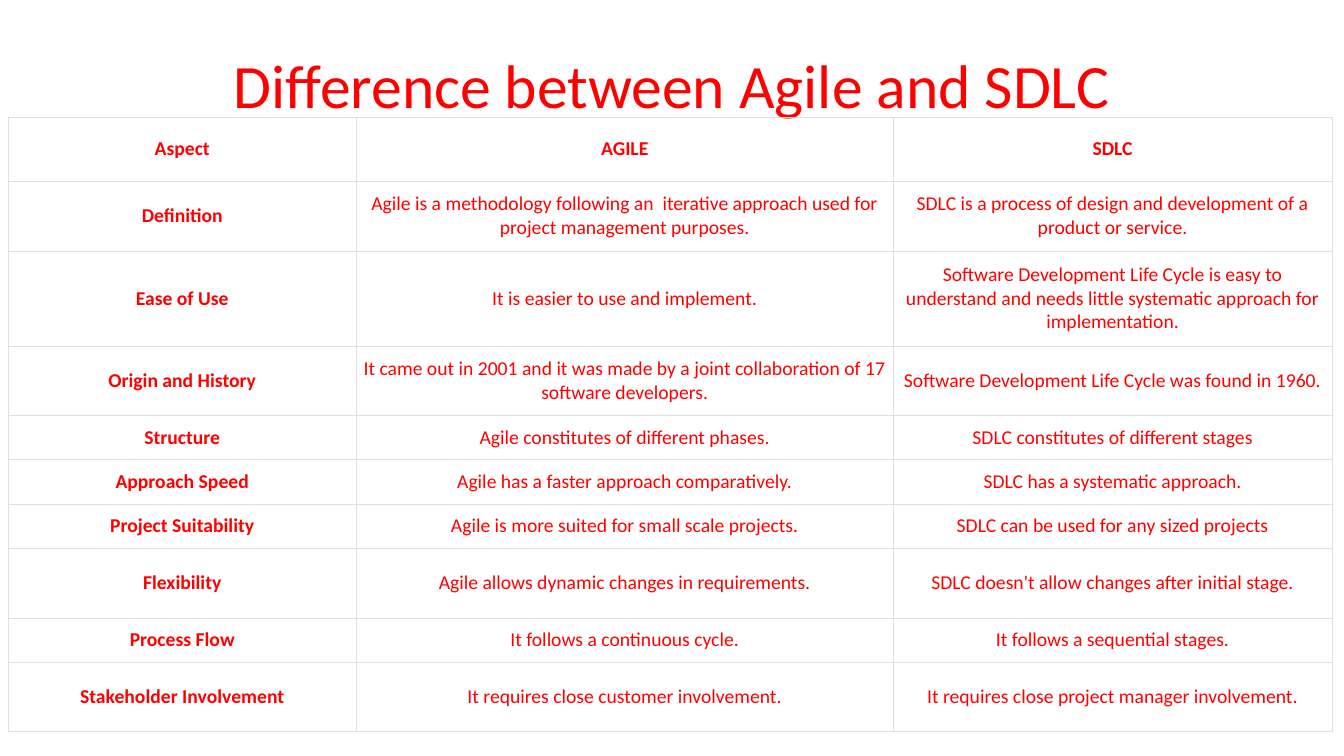
from lxml import etree
from pptx import Presentation
from pptx import util as u
from pptx.dml.color import RGBColor
from pptx.enum import text
from pptx.oxml import ns

COLORS = {"text": "FF0000", "border": "DFDFDF", "page": "FFFFFF"}
SLIDE_WIDTH, SLIDE_HEIGHT = 13.33, 7.5
GRID_COLUMNS, GRID_ROWS = 160, 90
COLUMN_WIDTHS = [41.4, 63.96, 52.2]
HEADER_HEIGHT = 7.68
LINE_HEIGHT, ROW_PADDING = 3, 2.28

HEADER = ["Aspect", "AGILE", "SDLC"]
ASPECTS = [
    (2, "Definition",
     "Agile is a methodology following an  iterative approach used for project management purposes.",
     "SDLC is a process of design and development of a product or service."),
    (3, "Ease of Use", "It is easier to use and implement.",
     "Software Development Life Cycle is easy to understand and needs little "
     "systematic approach for implementation."),
    (2, "Origin and History",
     "It came out in 2001 and it was made by a joint collaboration of 17 software developers.",
     "Software Development Life Cycle was found in 1960."),
    (1, "Structure", "Agile constitutes of different phases.",
     "SDLC constitutes of different stages"),
    (1, "Approach Speed", "Agile has a faster approach comparatively.",
     "SDLC has a systematic approach."),
    (1, "Project Suitability", "Agile is more suited for small scale projects.",
     "SDLC can be used for any sized projects"),
    (2, "Flexibility", "Agile allows dynamic changes in requirements.",
     "SDLC doesn't allow changes after initial stage."),
    (1, "Process Flow", "It follows a continuous cycle.",
     "It follows a sequential stages."),
    (2, "Stakeholder Involvement", "It requires close customer involvement.",
     "It requires close project manager involvement."),
]


class SlideBuilder:
    """Holds the style and current slide, and adds elements placed on a grid."""

    def __init__(self, deck, font="Calibri"):
        self.font = font
        self.page = deck.slides.add_slide(deck.slide_layouts[6])
        fill = self.page.background.fill
        fill.solid()
        fill.fore_color.rgb = RGBColor.from_string(COLORS["page"])

    def x(self, columns):
        return u.Inches(SLIDE_WIDTH * columns / GRID_COLUMNS)

    def y(self, rows):
        return u.Inches(SLIDE_HEIGHT * rows / GRID_ROWS)

    def set_words(self, frame, words, size, bold=False):
        frame.text = words
        para = frame.paragraphs[0]
        para.alignment = text.PP_ALIGN.CENTER
        for span in para.runs:
            span.font.name = self.font
            span.font.size = u.Pt(size)
            span.font.bold = bold
            span.font.color.rgb = RGBColor.from_string(COLORS["text"])
        return para

    def title(self, words, left, top, width, height):
        box = self.page.shapes.add_textbox(self.x(left), self.y(top), self.x(width), self.y(height))
        box.text_frame.word_wrap = True
        box.text_frame.vertical_anchor = text.MSO_ANCHOR.MIDDLE
        self.set_words(box.text_frame, words, 44).line_spacing = 0.9

    def border(self, cell):
        properties = cell._tc.get_or_add_tcPr()
        for position, side in enumerate(("lnL", "lnR", "lnT", "lnB")):
            line = etree.Element(ns.qn(f"a:{side}"), w=str(u.Pt(0.15)))
            fill = etree.SubElement(line, ns.qn("a:solidFill"))
            etree.SubElement(fill, ns.qn("a:srgbClr"), val=COLORS["border"])
            properties.insert(position, line)

    def cell(self, cell, words, bold):
        cell.fill.background()
        cell.vertical_anchor = text.MSO_ANCHOR.MIDDLE
        cell.margin_left = cell.margin_right = u.Inches(0.07)
        cell.margin_top = cell.margin_bottom = u.Inches(0.1)
        self.set_words(cell.text_frame, words, 14, bold)
        self.border(cell)

    def table(self, rows, left, top, widths, heights):
        table = self.page.shapes.add_table(
            len(rows), len(widths), self.x(left), self.y(top),
            self.x(sum(widths)), self.y(sum(heights))).table
        table.horz_banding = False
        table.first_row = False
        for column, width in zip(table.columns, widths):
            column.width = self.x(width)
        for row, height in zip(table.rows, heights):
            row.height = self.y(height)
        for r, row in enumerate(rows):
            for c, words in enumerate(row):
                self.cell(table.cell(r, c), words, bold=r == 0 or c == 0)


def main():
    deck = Presentation()
    deck.slide_width = u.Inches(SLIDE_WIDTH)
    deck.slide_height = u.Inches(SLIDE_HEIGHT)
    builder = SlideBuilder(deck)
    builder.title("Difference between Agile and SDLC", 11, 1.8, 138, 17.4)
    rows = [HEADER] + [aspect[1:] for aspect in ASPECTS]
    heights = [HEADER_HEIGHT] + [ROW_PADDING + LINE_HEIGHT * aspect[0] for aspect in ASPECTS]
    builder.table(rows, 1, 13.92, COLUMN_WIDTHS, heights)
    deck.save("out.pptx")


if __name__ == "__main__":
    main()
